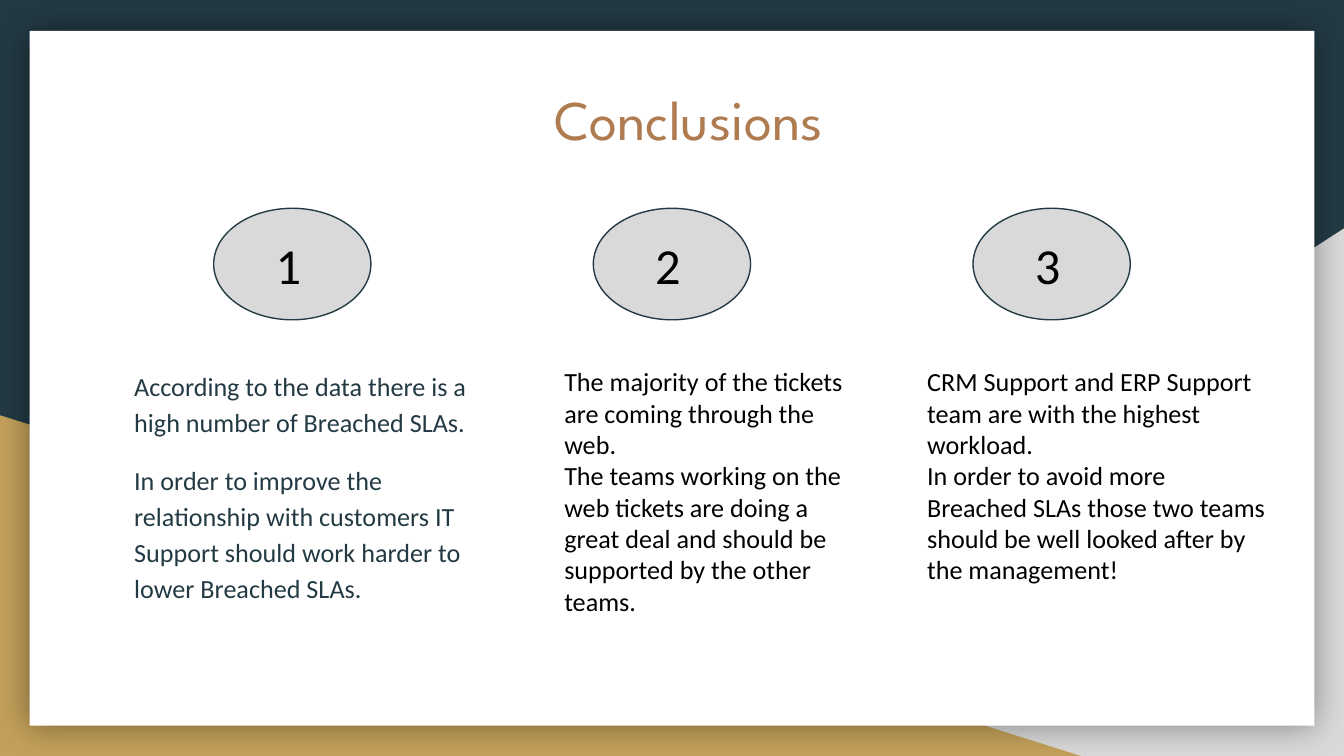
from lxml import etree
from pptx import Presentation
from pptx import util as u
from pptx.dml.color import RGBColor
from pptx.enum import shapes, text
from pptx.oxml import ns

NAVY = RGBColor(0x23, 0x3A, 0x44)
GOLD = RGBColor(0xC4, 0xA1, 0x5A)
GREY = RGBColor(0xD9, 0xD9, 0xD9)
WHITE = RGBColor(0xFF, 0xFF, 0xFF)
BROWN = RGBColor(0xAF, 0x7B, 0x51)
BLACK = RGBColor(0, 0, 0)
KIND = shapes.MSO_SHAPE


class Deck:
    inset = u.Inches(0.1)
    face = "Calibri"

    def __init__(self, slide):
        self.slide = slide
        fill = slide.background.fill
        fill.solid()
        fill.fore_color.rgb = NAVY

    def shape(self, kind, box, fill, line=None):
        item = self.slide.shapes.add_shape(kind, *map(u.Inches, box))
        item.shadow.inherit = False
        item.fill.solid()
        item.fill.fore_color.rgb = fill
        if line is None:
            item.line.fill.background()
        else:
            item.line.color.rgb = line
            item.line.width = u.Pt(0.75)
        return item

    def glow(self, item, blur, alpha):
        effect = item._element.spPr.find(ns.qn("a:effectLst"))
        outer = etree.SubElement(effect, ns.qn("a:outerShdw"), blurRad=str(u.Pt(blur)),
                                 dist="0", dir="0", algn="ctr", rotWithShape="0")
        color = etree.SubElement(outer, ns.qn("a:srgbClr"), val=str(BLACK))
        etree.SubElement(color, ns.qn("a:alpha"), val=str(alpha * 1000))

    def words(self, box, lines, size, color, face=None, left=0.1, forms=()):
        frame = self.slide.shapes.add_textbox(*map(u.Inches, box)).text_frame
        style = {"word_wrap": True, "vertical_anchor": text.MSO_ANCHOR.TOP,
                 "margin_left": u.Inches(left), "margin_right": self.inset,
                 "margin_top": self.inset, "margin_bottom": self.inset}
        for name, value in style.items():
            setattr(frame, name, value)
        frame.text = "\n".join(lines)
        for para in frame.paragraphs:
            for run in para.runs:
                for name, value in {"name": face or self.face, "size": u.Pt(size)}.items():
                    setattr(run.font, name, value)
                run.font.color.rgb = color
        for para, form in zip(frame.paragraphs, forms):
            for name, value in form.items():
                setattr(para, name, value)


def main():
    show = Presentation()
    show.slide_width = u.Inches(10)
    show.slide_height = u.Inches(10 * 9 / 16)
    deck = Deck(show.slides.add_slide(show.slide_layouts[6]))

    slope = deck.shape(KIND.RIGHT_TRIANGLE, (3.92, 1.7, 6.08, 3.93), GREY)
    slope._element.spPr.find(ns.qn("a:xfrm")).set("flipH", "1")
    deck.shape(KIND.RIGHT_TRIANGLE, (0, 3.09, 8.06, 2.54), GOLD)
    card = deck.shape(KIND.RECTANGLE, (0.22, 0.23, 9.56, 5.17), WHITE)
    deck.glow(card, 18, 40)

    deck.words((0.91, 0.53, 8.43, 1.04), ["Conclusions"], 30, BROWN, "League Spartan",
               forms=[{"alignment": text.PP_ALIGN.CENTER}])

    loose = {"line_spacing": 1.15}
    apart = {**loose, "space_before": u.Pt(12), "space_after": u.Pt(12)}
    points = [
        ((0.9, 2.62, 2.68, 2.23), NAVY, (loose, apart), [
            "According to the data there is a high number of Breached SLAs.",
            "In order to improve the relationship with customers IT Support "
            "should work harder to lower Breached SLAs."]),
        ((4.1, 2.62, 2.45, 2.15), BLACK, (), [
            "The majority of the tickets are coming through the web.",
            "The teams working on the web tickets are doing a great deal "
            "and should be supported by the other teams."]),
        ((6.8, 2.62, 2.76, 1.85), BLACK, (), [
            "CRM Support and ERP Support team are with the highest workload.",
            "In order to avoid more Breached SLAs those two teams should be "
            "well looked after by the management!"]),
    ]
    for index, (box, color, forms, lines) in enumerate(points):
        left = 1.59 + 5.65 * index / 2
        deck.shape(KIND.OVAL, (left, 1.55, 1.17, 0.83), GREY, NAVY)
        deck.words((left + 0.19, 1.64, 0.79, 0.66), [str(index + 1)], 27, BLACK, left=0.27)
        deck.words(box, lines, 14, color, forms=forms)

    show.save("out.pptx")


if __name__ == "__main__":
    main()
